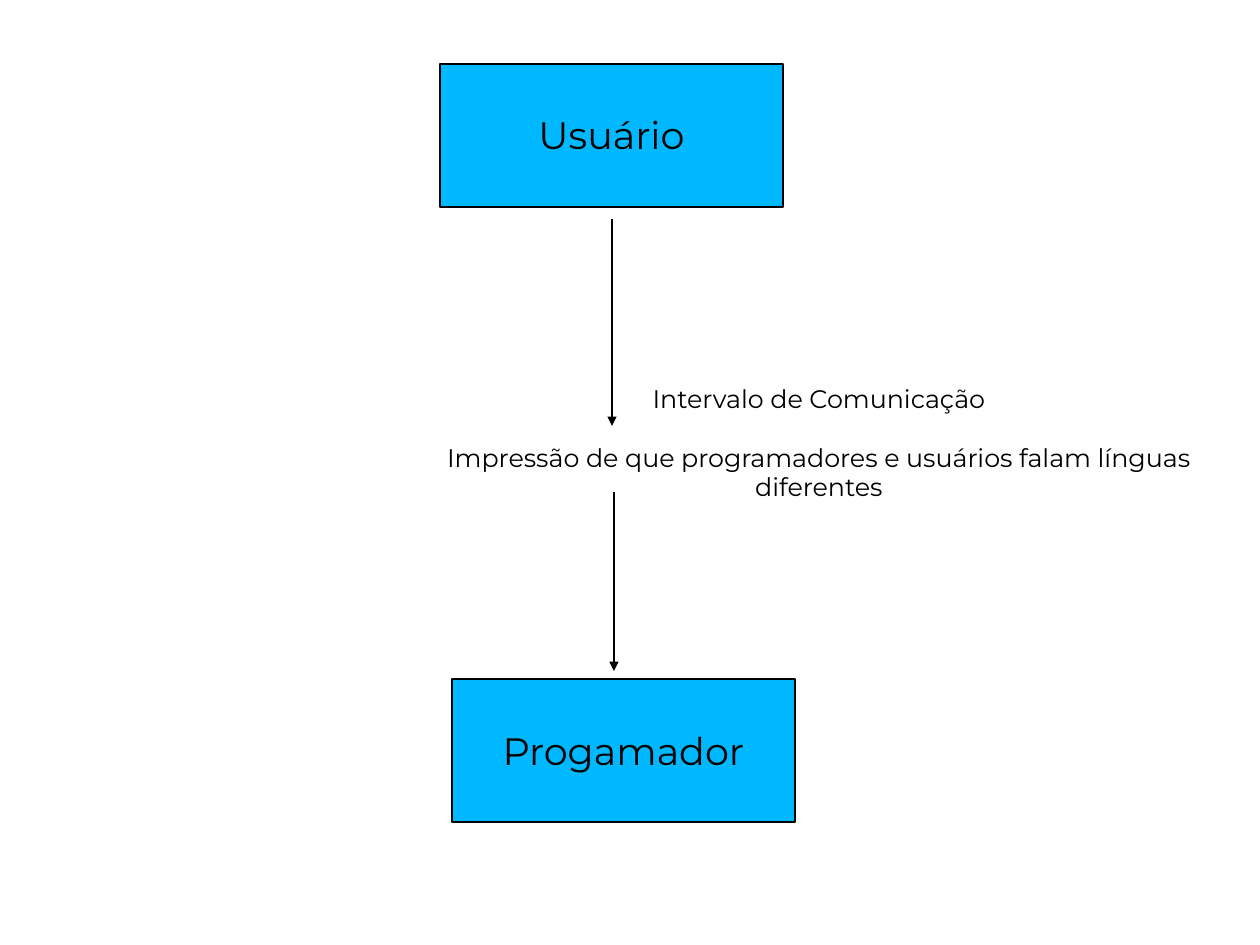
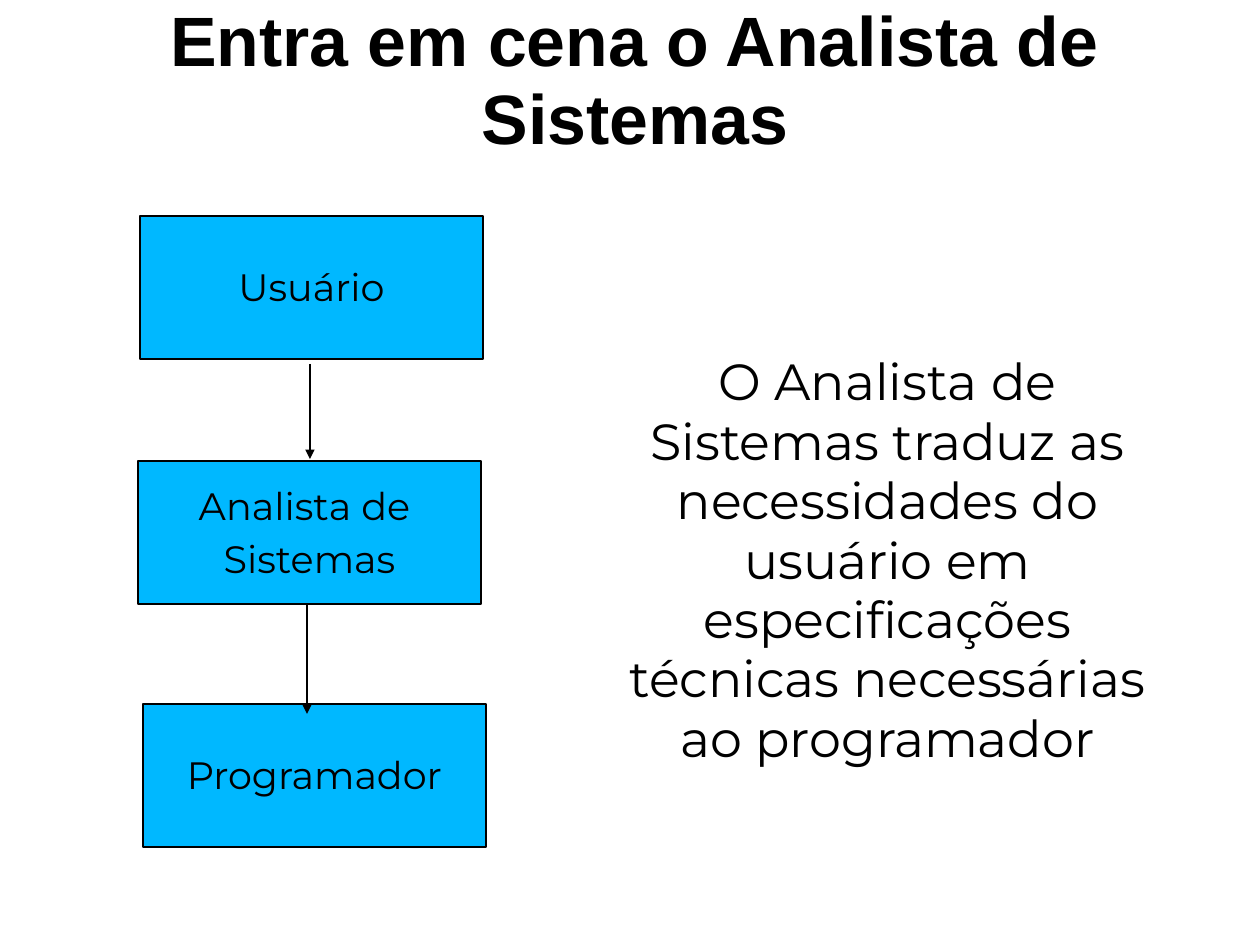
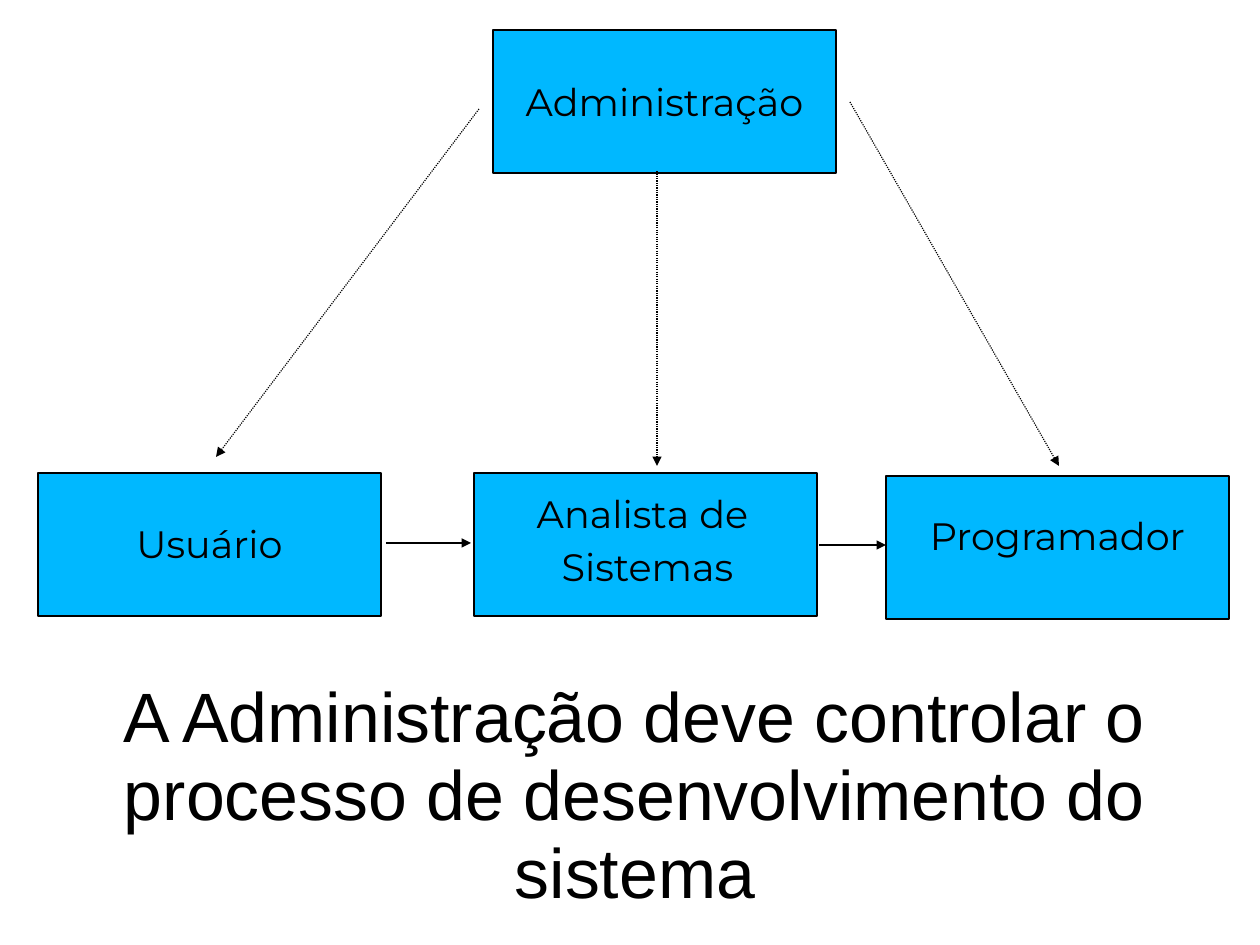
from dataclasses import dataclass

from lxml import etree
from pptx import Presentation
from pptx import util as u
from pptx.dml.color import RGBColor
from pptx.enum import dml, shapes, text
from pptx.oxml import ns

EMU_PER_PX = 8000
SLIDE_W, SLIDE_H = 1260, 945
BOX_W, BOX_H = 343, 143
COLORS = {"box": "00B8FF", "ink": "000000"}
ANALYST = ("Analista de ", "Sistemas")


@dataclass(frozen=True)
class Style:
    font: str
    size: int
    spacing: float | u.Pt
    next_spacing: float | u.Pt
    gap: float = 0
    bold: bool = False


LABEL = Style("Montserrat", 24, u.Pt(27.9), 1.18)
NOTE = Style("Montserrat", 16, u.Pt(18.5), u.Pt(18.5), gap=18.5)
BODY = Style("Montserrat", 32, u.Pt(37.4), u.Pt(37.4))
HEADING = Style("Arial", 44, 0.93, 0.93, bold=True)
STATEMENT = Style("Arial", 44, 0.93, 0.93)


@dataclass(frozen=True)
class Text:
    x: int
    y: int
    w: int
    h: int
    lines: tuple[str, ...]
    style: Style


@dataclass(frozen=True)
class Box:
    x: int
    y: int
    lines: tuple[str, ...]
    left_inset: int = 0
    bottom_inset: int = 0


@dataclass(frozen=True)
class Arrow:
    x1: int
    y1: int
    x2: int
    y2: int
    dotted: bool = False


@dataclass(frozen=True)
class Page:
    title: Text
    boxes: tuple[Box, ...]
    arrows: tuple[Arrow, ...]
    texts: tuple[Text, ...] = ()


PAGES = (
    Page(
        Text(438, 364, 762, 158,
             ("Intervalo de Comunicação",
              "Impressão de que programadores e usuários falam línguas diferentes"),
             NOTE),
        (Box(440, 64, ("Usuário",)), Box(452, 679, ("Progamador",))),
        (Arrow(612, 219, 612, 426), Arrow(614, 492, 614, 671)),
    ),
    Page(
        Text(97, 0, 1076, 165, ("Entra em cena o Analista de Sistemas",), HEADING),
        (Box(140, 216, ("Usuário",)), Box(138, 461, ANALYST),
         Box(143, 704, ("Programador",))),
        (Arrow(310, 364, 310, 459), Arrow(307, 603, 307, 714)),
        (Text(607, 382, 561, 355,
              ("O Analista de Sistemas traduz as necessidades do usuário em "
               "especificações técnicas necessárias ao programador",),
              BODY),),
    ),
    Page(
        Text(97, 680, 1076, 235,
             ("A Administração deve controlar o processo de desenvolvimento do sistema",),
             STATEMENT),
        (Box(493, 30, ("Administração",)), Box(38, 473, ("Usuário",)),
         Box(474, 473, ANALYST, 4, 8), Box(886, 476, ("Programador",), 0, 24)),
        (Arrow(479, 109, 216, 457, True), Arrow(850, 102, 1059, 466, True),
         Arrow(657, 171, 657, 466, True),
         Arrow(386, 543, 471, 543), Arrow(819, 545, 886, 545)),
    ),
)


def px(n: int) -> u.Emu:
    return u.Emu(n * EMU_PER_PX)


def rgb(name: str) -> RGBColor:
    return RGBColor.from_string(COLORS[name])


def write(sp, lines: tuple[str, ...], style: Style,
          left_inset: int = 0, bottom_inset: int = 0) -> None:
    tf = sp.text_frame
    tf.word_wrap = True
    tf.auto_size = text.MSO_AUTO_SIZE.NONE
    tf.vertical_anchor = text.MSO_ANCHOR.MIDDLE
    tf.margin_right = tf.margin_top = 0
    tf.margin_left, tf.margin_bottom = px(left_inset), px(bottom_inset)
    for i, line in enumerate(lines):
        p = tf.add_paragraph() if i else tf.paragraphs[0]
        p.alignment = text.PP_ALIGN.CENTER
        p.line_spacing = style.next_spacing if i else style.spacing
        if i and style.gap:
            p.space_before = u.Pt(style.gap)
        r = p.add_run()
        r.text = line
        r.font.name = style.font
        r.font.size = u.Pt(style.size)
        r.font.bold = style.bold
        r.font.color.rgb = rgb("ink")


def draw_title(s, t: Text) -> None:
    sp = s.shapes.title
    sp.left, sp.top, sp.width, sp.height = map(px, (t.x, t.y, t.w, t.h))
    write(sp, t.lines, t.style)


def draw_text(s, t: Text) -> None:
    sp = s.shapes.add_textbox(px(t.x), px(t.y), px(t.w), px(t.h))
    write(sp, t.lines, t.style)


def draw_box(s, b: Box) -> None:
    sp = s.shapes.add_shape(shapes.MSO_SHAPE.ROUNDED_RECTANGLE,
                            px(b.x), px(b.y), px(BOX_W), px(BOX_H))
    sp.adjustments[0] = 0
    sp.shadow.inherit = False
    sp.fill.solid()
    sp.fill.fore_color.rgb = rgb("box")
    sp.line.color.rgb = rgb("ink")
    sp.line.width = u.Pt(0.75)
    write(sp, b.lines, LABEL, b.left_inset, b.bottom_inset)


def draw_arrow(s, a: Arrow) -> None:
    cx = s.shapes.add_connector(shapes.MSO_CONNECTOR.STRAIGHT,
                                px(a.x1), px(a.y1), px(a.x2), px(a.y2))
    cx.line.color.rgb = rgb("ink")
    cx.line.width = u.Pt(0.75)
    if a.dotted:
        cx.line.dash_style = dml.MSO_LINE.ROUND_DOT
    props = cx._element.spPr
    etree.SubElement(props.find(ns.qn("a:ln")), ns.qn("a:tailEnd"), type="triangle")
    etree.SubElement(props, ns.qn("a:effectLst"))


def draw_page(prs, page: Page) -> None:
    s = prs.slides.add_slide(prs.slide_layouts[5])
    draw_title(s, page.title)
    for b in page.boxes:
        draw_box(s, b)
    for a in page.arrows:
        draw_arrow(s, a)
    for t in page.texts:
        draw_text(s, t)


def main() -> None:
    prs = Presentation()
    prs.slide_width, prs.slide_height = px(SLIDE_W), px(SLIDE_H)
    for page in PAGES:
        draw_page(prs, page)
    prs.save("out.pptx")


if __name__ == "__main__":
    main()
